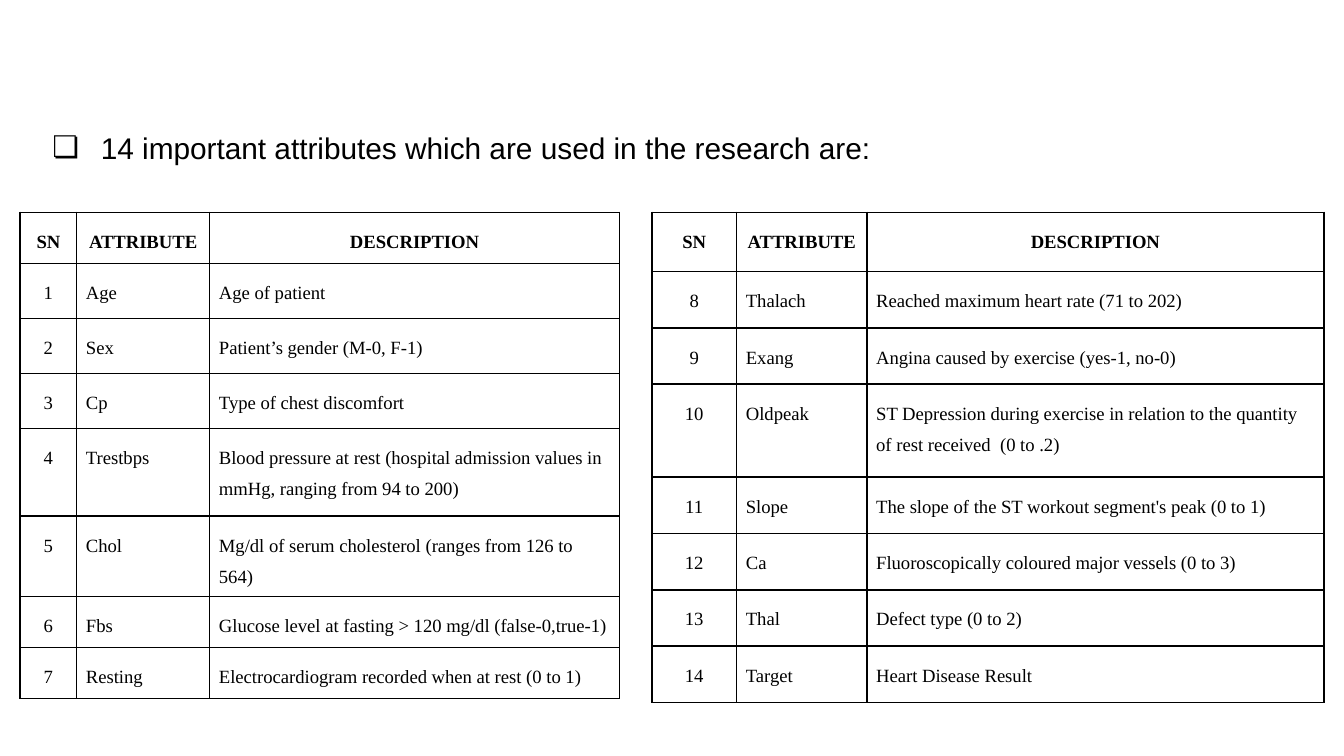
from lxml.etree import SubElement
from pptx import Presentation
from pptx.dml.color import RGBColor
from pptx.enum.text import MSO_ANCHOR, PP_ALIGN as Align
from pptx.oxml.ns import qn
from pptx.util import Inches, Pt

COLORS = {"ink": "000000", "paper": "FFFFFF"}
HEADER = ("SN", "ATTRIBUTE", "DESCRIPTION")
TABLE_TOP = 1.58
CELL_MARGIN = 0.07

ATTRIBUTE_TABLES = [
    {
        "left": 0.15,
        "first_sn": 1,
        "columns": [0.42, 0.99, 3.05],
        "rows": [0.38, 0.41, 0.41, 0.41, 0.65, 0.41, 0.38, 0.38],
        "attributes": [
            ("Age", "Age of patient"),
            ("Sex", "Patient’s gender (M-0, F-1)"),
            ("Cp", "Type of chest discomfort"),
            ("Trestbps", "Blood pressure at rest (hospital admission values in mmHg, ranging from 94 to 200)"),
            ("Chol", "Mg/dl of serum cholesterol (ranges from 126 to 564)"),
            ("Fbs", "Glucose level at fasting > 120 mg/dl (false-0,true-1)"),
            ("Resting", "Electrocardiogram recorded when at rest (0 to 1)"),
        ],
    },
    {
        "left": 4.85,
        "first_sn": 8,
        "columns": [0.63, 0.97, 3.4],
        "rows": [0.44, 0.42, 0.42, 0.69, 0.42, 0.42, 0.42, 0.42],
        "attributes": [
            ("Thalach", "Reached maximum heart rate (71 to 202)"),
            ("Exang", "Angina caused by exercise (yes-1, no-0)"),
            ("Oldpeak", "ST Depression during exercise in relation to the quantity of rest received  (0 to .2)"),
            ("Slope", "The slope of the ST workout segment's peak (0 to 1)"),
            ("Ca", "Fluoroscopically coloured major vessels (0 to 3)"),
            ("Thal", "Defect type (0 to 2)"),
            ("Target", "Heart Disease Result"),
        ],
    },
]


def write(frame, text, font, size, align, bold=False):
    """Put one paragraph of text in a frame, format it and return it."""
    frame.text = text
    paragraph = frame.paragraphs[0]
    paragraph.alignment = align
    paragraph.line_spacing = 1.5
    style = paragraph.runs[0].font
    style.name, style.size, style.bold = font, Pt(size), bold
    style.color.rgb = RGBColor.from_string(COLORS["ink"])
    return paragraph


def outline(cell):
    """Draw a 1 pt line on the four sides of a cell and clear its fill."""
    properties = cell._tc.get_or_add_tcPr()
    for side in ("a:lnL", "a:lnR", "a:lnT", "a:lnB"):
        line = SubElement(properties, qn(side), w=str(Pt(1)))
        fill = SubElement(line, qn("a:solidFill"))
        SubElement(fill, qn("a:srgbClr"), val=COLORS["ink"])
    cell.fill.background()


prs = Presentation()
prs.slide_width = Inches(10)
prs.slide_height = prs.slide_width * 9 // 16
slide = prs.slides.add_slide(prs.slide_layouts.get_by_name("Title and Content"))
slide.background.fill.solid()
slide.background.fill.fore_color.rgb = RGBColor.from_string(COLORS["paper"])
unused_title = slide.shapes.title._element
unused_title.getparent().remove(unused_title)

# Tables of attributes
for part in ATTRIBUTE_TABLES:
    records = [HEADER]
    for sn, (attribute, description) in enumerate(part["attributes"], part["first_sn"]):
        records.append((str(sn), attribute, description))
    table = slide.shapes.add_table(
        len(records), len(HEADER), Inches(part["left"]), Inches(TABLE_TOP),
        Inches(sum(part["columns"])), Inches(sum(part["rows"]))).table
    table.horz_banding = False
    for column, width in zip(table.columns, part["columns"]):
        column.width = Inches(width)
    for r, (record, height) in enumerate(zip(records, part["rows"])):
        table.rows[r].height = Inches(height)
        for c, text in enumerate(record):
            cell = table.cell(r, c)
            cell.margin_left = cell.margin_right = Inches(CELL_MARGIN)
            cell.margin_top = cell.margin_bottom = Inches(CELL_MARGIN)
            align = Align.CENTER if r == 0 or c == 0 else Align.LEFT
            write(cell.text_frame, text, "Times New Roman", 10, align, bold=r == 0)
            outline(cell)

# Bulleted introduction
intro = slide.placeholders[1]
intro.left, intro.top = Inches(0.15), Inches(0.73)
intro.width, intro.height = Inches(9.6), Inches(1.05)
frame = intro.text_frame
frame.margin_left = frame.margin_right = Inches(0.1)
frame.margin_top = frame.margin_bottom = Inches(0.1)
frame.vertical_anchor = MSO_ANCHOR.TOP
statement = write(frame, "14 important attributes which are used in the research are:",
                  "Arial", 16, Align.JUSTIFY)
statement.space_before = Pt(12)
bullet = statement._p.get_or_add_pPr()
bullet.set("marL", str(Inches(0.5)))
bullet.set("indent", str(Inches(-0.36)))
bullet_color = SubElement(bullet, qn("a:buClr"))
SubElement(bullet_color, qn("a:srgbClr"), val=COLORS["ink"])
SubElement(bullet, qn("a:buFont"), typeface="Arial")
SubElement(bullet, qn("a:buChar"), char="❏")

prs.save("out.pptx")
